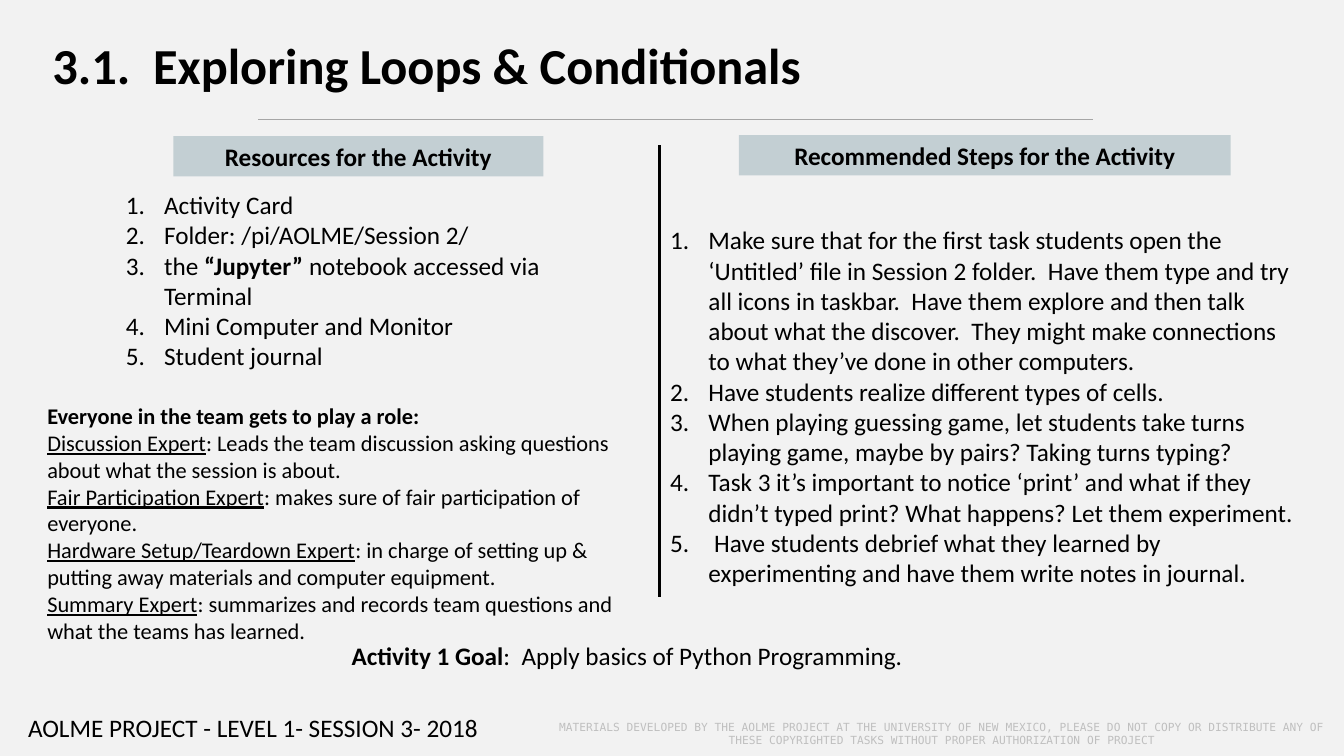
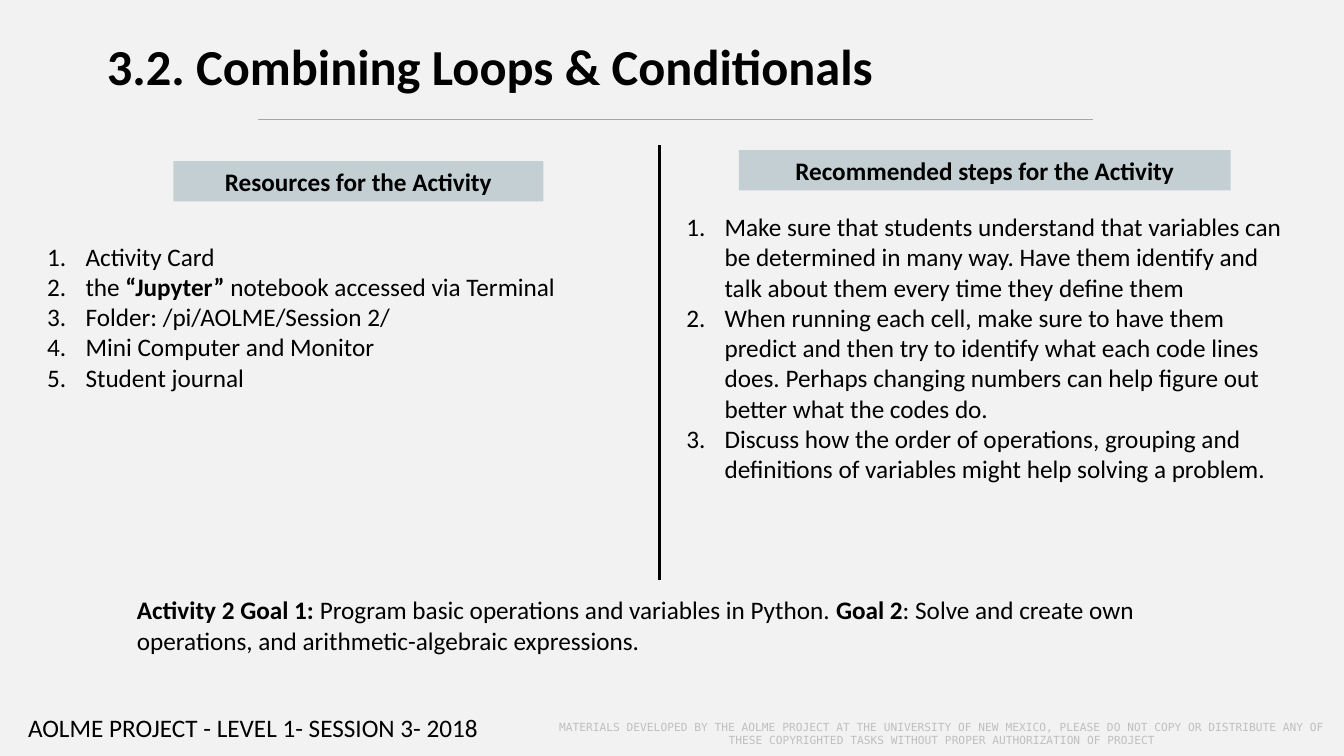
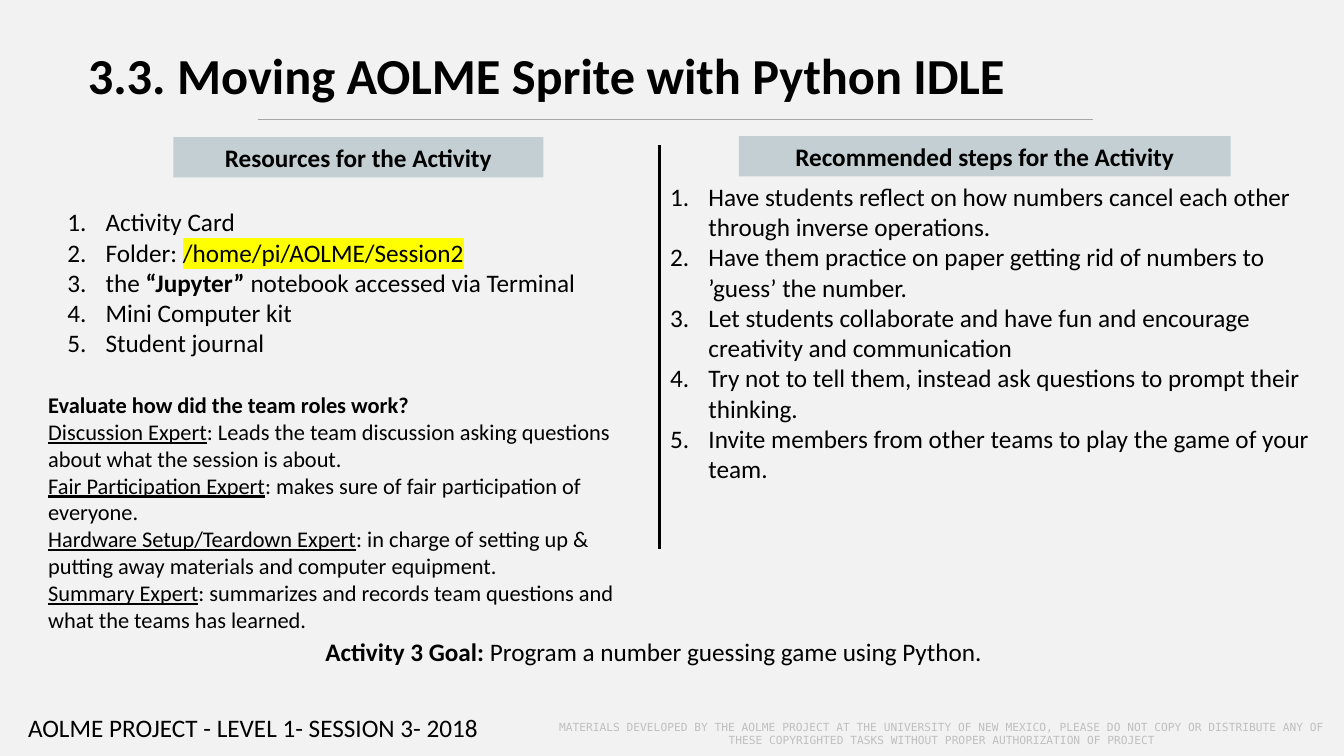
from lxml import etree
from pptx import Presentation
from pptx.dml.color import RGBColor
from pptx.enum.shapes import MSO_CONNECTOR, MSO_SHAPE
from pptx.enum.text import MSO_ANCHOR, PP_ALIGN
from pptx.oxml.ns import qn
from pptx.util import Inches, Pt

RECT, LINE = MSO_SHAPE.RECTANGLE, MSO_CONNECTOR.STRAIGHT
LEFT, CENTER = PP_ALIGN.LEFT, PP_ALIGN.CENTER
TOP, MIDDLE = MSO_ANCHOR.TOP, MSO_ANCHOR.MIDDLE
TITLE_ONLY = 5


def rgb(value):
    return RGBColor.from_string(value)


class Deck:
    """Style and current slide; positions are percentages of the slide."""
    PAPER, INK, BAND, RULE, FAINT = "F2F2F2", "000000", "C3CFD3", "A6A6A6", "BFBFBF"
    YELLOW = "FFFF00"
    FONT, MONO = "Calibri", "DejaVu Sans Mono"
    DIVIDER_X, DIVIDER_TOP = 49.05, 19.2
    MARKS = {"b": {"bold": True}, "u": {"underline": True}, "h": {}, "": {}}

    def __init__(self):
        self.prs = Presentation()
        self.prs.slide_width, self.prs.slide_height = Inches(13.33), Inches(7.5)

    def x(self, share):
        return int(self.prs.slide_width * share / 100)

    def y(self, share):
        return int(self.prs.slide_height * share / 100)

    def box(self, left, top, width, height):
        return self.x(left), self.y(top), self.x(width), self.y(height)

    def slide(self, title, at, divider_bottom):
        self.s = self.prs.slides.add_slide(self.prs.slide_layouts[TITLE_ONLY])
        fill = self.s.background.fill
        fill.solid()
        fill.fore_color.rgb = rgb(self.PAPER)
        # Title
        sp = self.s.shapes.title
        sp.left, sp.top, sp.width, sp.height = self.box(*at)
        self.fill_text(sp, [[(title, "b")]], size=36)
        # Rule and divider
        self.line(19.2, 15.87, 81.3, 15.87, self.RULE, 0.75)
        self.line(self.DIVIDER_X, self.DIVIDER_TOP, self.DIVIDER_X,
                  divider_bottom, self.INK, 2.25)
        # Footers
        self.text((1.35, 93.6, 35.85, 5.33),
                  ["AOLME PROJECT - LEVEL 1- SESSION 3- 2018"])
        self.text((40.43, 94.53, 59.32, 4.93),
                  ["MATERIALS DEVELOPED BY THE AOLME PROJECT AT THE UNIVERSITY "
                   "OF NEW MEXICO, PLEASE DO NOT COPY OR DISTRIBUTE ANY OF THESE "
                   "COPYRIGHTED TASKS WITHOUT PROPER AUTHORIZATION OF PROJECT"],
                  size=8, color=self.FAINT, font=self.MONO,
                  align=CENTER, anchor=MIDDLE)

    def line(self, x1, y1, x2, y2, color, width):
        c = self.s.shapes.add_connector(LINE, self.x(x1), self.y(y1),
                                        self.x(x2), self.y(y2))
        c.line.color.rgb, c.line.width = rgb(color), Pt(width)
        etree.SubElement(c._element.spPr, qn("a:effectLst"))

    def text(self, at, paragraphs, **style):
        self.fill_text(self.s.shapes.add_textbox(*self.box(*at)), paragraphs, **style)

    def band(self, left, top, width, label):
        sp = self.s.shapes.add_shape(RECT, *self.box(left, top, width, 5.33))
        sp.shadow.inherit = False
        sp.fill.solid()
        sp.fill.fore_color.rgb = rgb(self.BAND)
        sp.line.fill.background()
        self.fill_text(sp, [[(label, "b")]], align=CENTER)

    def bands(self, left_top, right_top, right_label):
        self.band(12.9, left_top, 27.53, "Resources for the Activity")
        self.band(54.98, right_top, 36.6, right_label)

    def fill_text(self, sp, paragraphs, size=18, color=INK, font=FONT,
                  align=LEFT, anchor=TOP, numbered=False):
        """A paragraph is a string or a list of (text, mark) runs."""
        tf = sp.text_frame
        tf.word_wrap, tf.vertical_anchor = True, anchor
        for i, runs in enumerate(paragraphs):
            p = tf.add_paragraph() if i else tf.paragraphs[0]
            p.alignment = align
            if numbered:
                self.number(p)
            for words, mark in [(runs, "")] if isinstance(runs, str) else runs:
                r = p.add_run()
                r.text = words
                look = {"size": Pt(size), "name": font, "bold": False,
                        **self.MARKS[mark]}
                for name, value in look.items():
                    setattr(r.font, name, value)
                r.font.color.rgb = rgb(color)
                if mark == "h":
                    self.highlight(r)

    def number(self, p):
        pPr = p._p.get_or_add_pPr()
        pPr.set("marL", str(Inches(0.39)))
        pPr.set("indent", str(Inches(-0.38)))
        etree.SubElement(pPr, qn("a:buAutoNum"), type="arabicPeriod")

    def highlight(self, r):
        mark = etree.Element(qn("a:highlight"))
        etree.SubElement(mark, qn("a:srgbClr"), val=self.YELLOW)
        r._r.get_or_add_rPr().find(qn("a:latin")).addprevious(mark)


NOTEBOOK = [("the ", ""), ("“Jupyter” ", "b"),
            ("notebook accessed via Terminal", "")]
ROLES = [
    [("Discussion Expert", "u"),
     (": Leads the team discussion asking questions about what the session is about.", "")],
    [("Fair Participation Expert", "u"),
     (": makes sure of fair participation of everyone.", "")],
    [("Hardware Setup/Teardown Expert", "u"),
     (": in charge of setting up & putting away materials and computer equipment.", "")],
    [("Summary Expert", "u"),
     (": summarizes and records team questions and what the teams has learned.", "")],
]

ACTIVITIES = [
    {
        "title": ("3.1.  Exploring Loops & Conditionals", (3.15, 3.87, 96, 9.47), 78.93),
        "bands": (18, 17.87, "Recommended Steps for the Activity"),
        "resources": ((8.55, 24.4, 36.22, 29.6), [
            "Activity Card", "Folder: /pi/AOLME/Session 2/", NOTEBOOK,
            "Mini Computer and Monitor", "Student journal"]),
        "steps": ((49.05, 29.07, 48.45, 49.87), [
            "Make sure that for the first task students open the ‘Untitled’ file in "
            "Session 2 folder.  Have them type and try all icons in taskbar.  Have them "
            "explore and then talk about what the discover.  They might make connections "
            "to what they’ve done in other computers.",
            "Have students realize different types of cells.",
            "When playing guessing game, let students take turns playing game, maybe by "
            "pairs? Taking turns typing?",
            "Task 3 it’s important to notice ‘print’ and what if they didn’t typed print? "
            "What happens? Let them experiment.",
            " Have students debrief what they learned by experimenting and have them "
            "write notes in journal."]),
        "goal": ((25.43, 84, 44.1, 5.33), [
            ("Activity 1 Goal", "b"), (":  Apply basics of Python Programming.", "")]),
        "roles": ((2.78, 52.53, 44.92, 33.6), "Everyone in the team gets to play a role:"),
    },
    {
        "title": ("3.2. Combining Loops & Conditionals", (7.2, 4, 78.6, 9.47), 76.67),
        "bands": (21.33, 19.87, "Recommended steps for the Activity"),
        "resources": ((2.7, 31.2, 46.35, 21.6), [
            "Activity Card", NOTEBOOK, "Folder: /pi/AOLME/Session 2/",
            "Mini Computer and Monitor", "Student journal"]),
        "steps": ((50.25, 27.33, 46.73, 37.73), [
            "Make sure that students understand that variables can be determined in many "
            "way. Have them identify and talk about them every time they define them",
            "When running each cell, make sure to have them predict and then try to "
            "identify what each code lines does. Perhaps changing numbers can help figure "
            "out better what the codes do.",
            "Discuss how the order of operations, grouping and definitions of variables "
            "might help solving a problem."]),
        "goal": ((9.45, 78, 81.6, 9.47), [
            ("Activity 2 Goal 1: ", "b"),
            ("Program basic operations and variables in Python. ", ""),
            ("Goal 2", "b"),
            (": Solve and create own operations, and arithmetic-algebraic expressions.", "")]),
    },
    {
        "title": ("3.3. Moving AOLME Sprite with Python IDLE", (5.78, 5.2, 90.08, 9.47), 72.67),
        "bands": (18.13, 18, "Recommended steps for the Activity"),
        "resources": ((4.2, 26.67, 42.3, 25.6), [
            "Activity Card", [("Folder: ", ""), ("/home/pi/AOLME/Session2", "h")],
            NOTEBOOK, "Mini Computer kit", "Student journal"]),
        "steps": ((49.05, 23.33, 50.78, 41.73), [
            "Have students reflect on how numbers cancel each other through inverse "
            "operations.",
            "Have them practice on paper getting rid of numbers to ’guess’ the number.",
            "Let students collaborate and have fun and encourage creativity and "
            "communication",
            "Try not to tell them, instead ask questions to prompt their thinking.",
            "Invite members from other teams to play the game of your team."]),
        "goal": ((23.48, 83.47, 63.08, 5.33), [
            ("Activity 3 Goal: ", "b"),
            ("Program a number guessing game using Python.", "")]),
        "roles": ((2.85, 51.07, 44.92, 33.6), "Evaluate how did the team roles work?"),
    },
]


def main():
    deck = Deck()
    for activity in ACTIVITIES:
        deck.slide(*activity["title"])
        deck.bands(*activity["bands"])
        # Numbered lists
        for part in ("resources", "steps"):
            at, items = activity[part]
            deck.text(at, items, numbered=True)
        # Goal and team roles
        at, goal = activity["goal"]
        deck.text(at, [goal])
        if "roles" in activity:
            at, heading = activity["roles"]
            deck.text(at, [[(heading, "b")], *ROLES], size=16)
    deck.prs.save("out.pptx")


if __name__ == "__main__":
    main()
